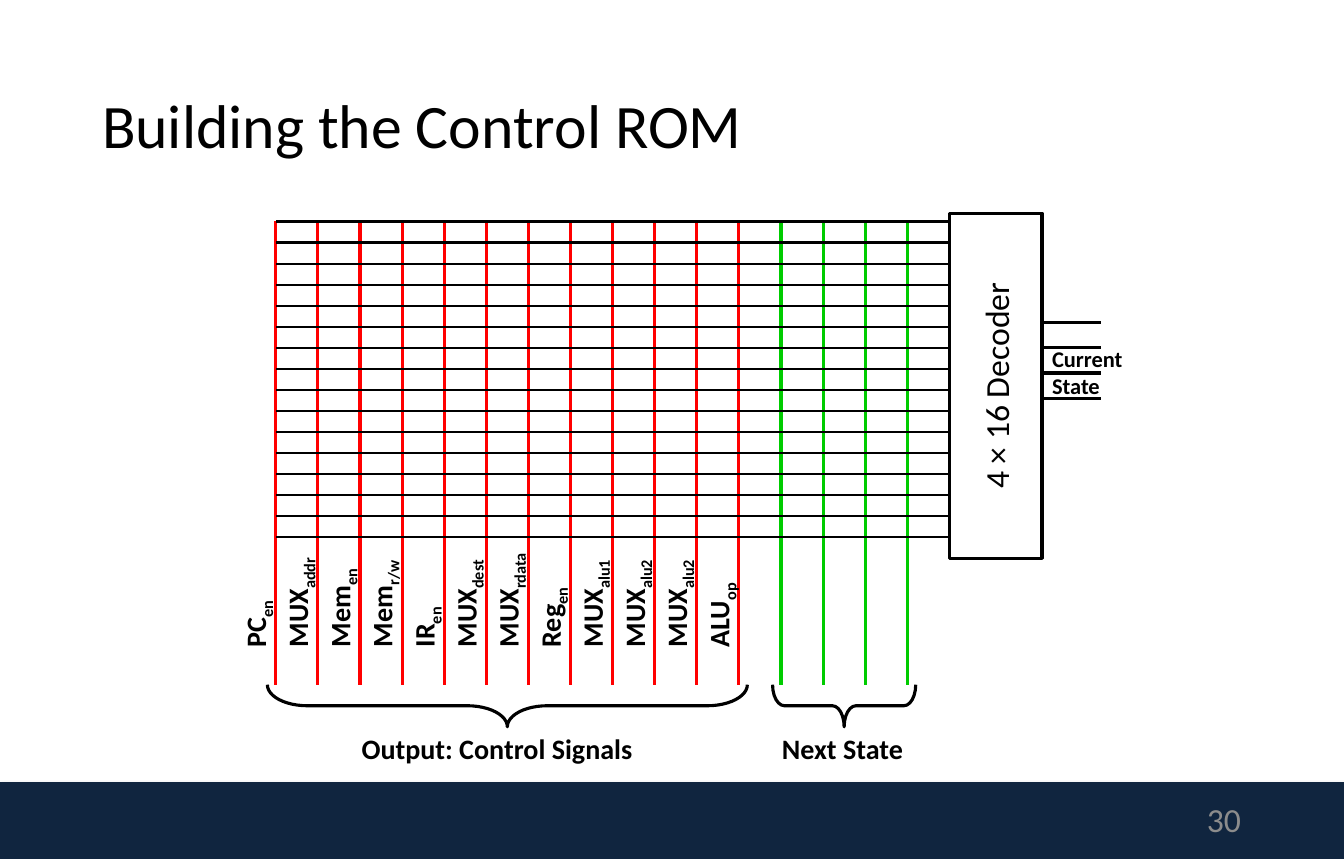
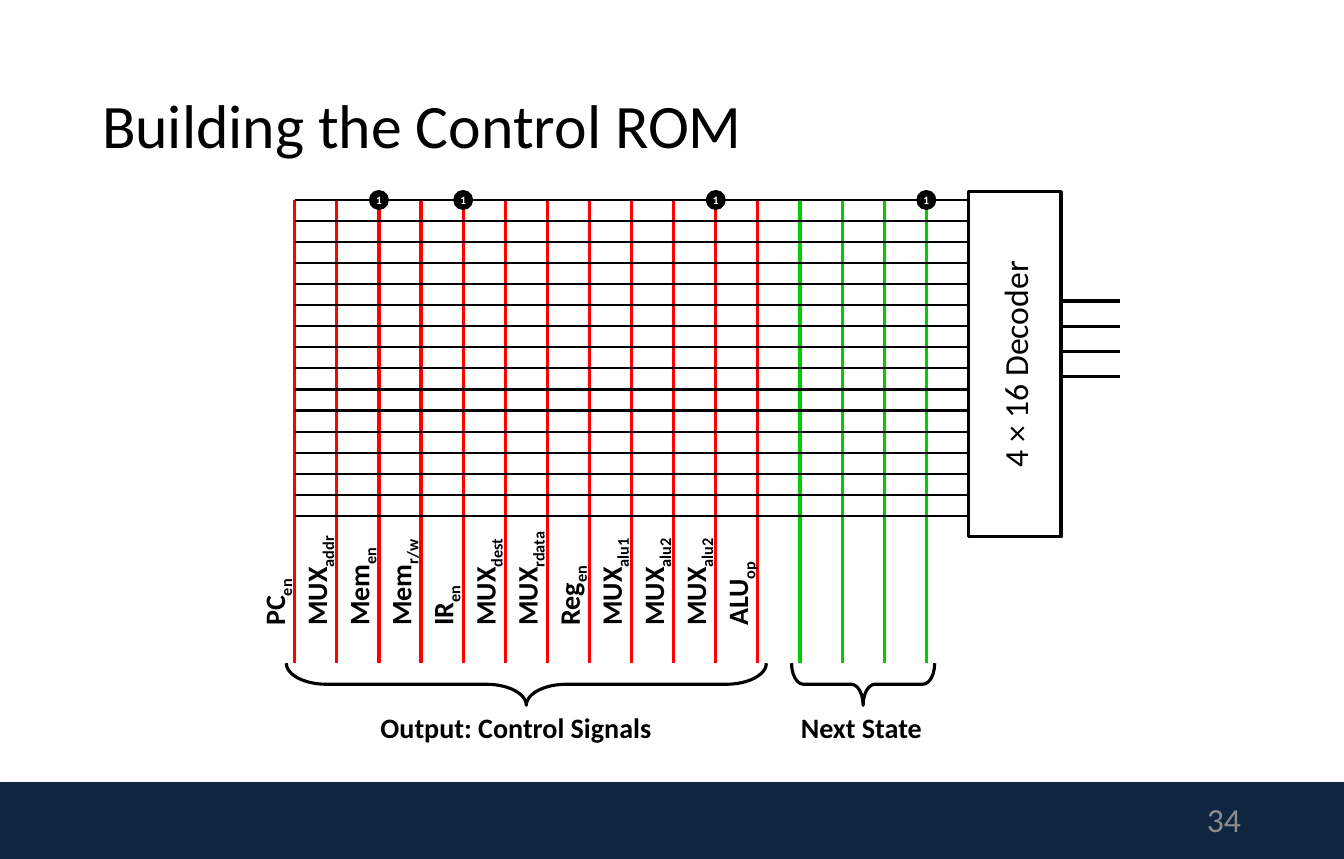
from lxml.etree import SubElement
from pptx import Presentation
from pptx.dml.color import RGBColor
from pptx.enum.shapes import MSO_CONNECTOR, MSO_SHAPE as SHAPE
from pptx.enum.text import MSO_ANCHOR as ANCHOR, MSO_AUTO_SIZE as FIT, PP_ALIGN as ALIGN
from pptx.oxml.ns import qn
from pptx.util import Pt

NAVY = RGBColor(0x10, 0x25, 0x3F)
BLACK = RGBColor(0x00, 0x00, 0x00)
WHITE = RGBColor(0xFF, 0xFF, 0xFF)
RED = RGBColor(0xFF, 0x00, 0x00)
GREEN = RGBColor(0x00, 0xCC, 0x00)
GRAY = RGBColor(0x8C, 0x8C, 0x8C)
FONT = "Calibri"

SLIDE_W, SLIDE_H = 957.6, 612
BAND_TOP = 557.3
COLUMN_GAP, ROW_GAP = 30, 15
ROWS = 16
STATE_BITS = 4
ROM_W, COLUMN_H = 480, 330
DECODER_W, DECODER_H = 66, 246
BRACE_DEPTH = 30
HEAVY, LIGHT = 2.25, 1.5

SIGNALS = [
    ("PC", "en", 50), ("MUX", "addr", 84), ("Mem", "en", 73),
    ("Mem", "r/w", 79), ("IR", "en", 45), ("MUX", "dest", 80),
    ("MUX", "rdata", 88), ("Reg", "en", 61), ("MUX", "alu1", 81),
    ("MUX", "alu2", 81), ("MUX", "alu2", 81), ("ALU", "op", 71),
]
COLUMNS = len(SIGNALS) + STATE_BITS


def write(shape, text, subscript="", size=20, bold=False, color=BLACK,
          align=ALIGN.LEFT, anchor=ANCHOR.TOP, spacing=None, wrap=False):
    frame = shape.text_frame
    frame.auto_size = FIT.NONE
    frame.word_wrap = wrap
    frame.vertical_anchor = anchor
    frame.text = text
    if subscript:
        frame.paragraphs[-1].add_run().text = subscript
    for paragraph in frame.paragraphs:
        paragraph.alignment = align
        paragraph.line_spacing = spacing
        for run in paragraph.runs:
            font = run.font
            font.name, font.size, font.bold = FONT, Pt(size), bold
            font.color.rgb = color
    if subscript:
        shape.element.xpath(".//a:rPr")[-1].set("baseline", "-25000")


def place(shape, left, top, width, height):
    shape.left, shape.top = Pt(left), Pt(top)
    shape.width, shape.height = Pt(width), Pt(height)


def add_text(slide, text, left, top, width, height, **style):
    box = slide.shapes.add_textbox(Pt(left), Pt(top), Pt(width), Pt(height))
    write(box, text, **style)
    return box


def add_upright(slide, kind, center_x, center_y, length, depth):
    shape = add_shape(slide, kind, center_x - length / 2, center_y - depth / 2,
                      length, depth)
    shape.rotation = 270
    return shape


def add_shape(slide, kind, left, top, width, height, fill=None, line=BLACK):
    shape = slide.shapes.add_shape(kind, Pt(left), Pt(top), Pt(width), Pt(height))
    shape.shadow.inherit = False
    if fill is None:
        shape.fill.background()
    else:
        shape.fill.solid()
        shape.fill.fore_color.rgb = fill
    if line is None:
        shape.line.fill.background()
    else:
        shape.line.color.rgb = line
        shape.line.width = Pt(HEAVY)
    return shape


def add_wire(slide, x1, y1, x2, y2, color=BLACK, weight=HEAVY):
    wire = slide.shapes.add_connector(MSO_CONNECTOR.STRAIGHT,
                                      Pt(x1), Pt(y1), Pt(x2), Pt(y2))
    wire.line.color.rgb = color
    wire.line.width = Pt(weight)
    SubElement(wire.element.spPr, qn("a:effectLst"))


def add_brace(slide, x, y, first, last, curve):
    center = x + (first + last) / 2 * COLUMN_GAP
    span = (last - first) * COLUMN_GAP + 12
    brace = add_upright(slide, SHAPE.LEFT_BRACE, center, y + COLUMN_H + BRACE_DEPTH / 2,
                        BRACE_DEPTH, span)
    brace.adjustments[0] = curve
    brace.adjustments[1] = 0.5


def add_band(slide, layout):
    band = add_shape(slide, SHAPE.RECTANGLE, 0, BAND_TOP, SLIDE_W,
                     SLIDE_H - BAND_TOP, fill=NAVY, line=None)
    effects = band.element.spPr.find(qn("a:effectLst"))
    shadow = SubElement(effects, qn("a:outerShdw"), blurRad=str(Pt(3.1)),
                        dist=str(Pt(1.8)), dir="5400000", rotWithShape="0")
    tint = SubElement(shadow, qn("a:srgbClr"), val="808080")
    SubElement(tint, qn("a:alpha"), val="35000")
    layout.shapes.element.insert(2, band.element)


def start_slide(deck, layout, number):
    slide = deck.slides.add_slide(layout)
    title = slide.shapes.title
    place(title, 65.5, 32.4, 825.8, 118)
    write(title, "Building the Control ROM", size=44, anchor=ANCHOR.MIDDLE,
          spacing=0.9, wrap=True)
    add_text(slide, str(number), 676, 567.4, 215.3, 32.4, size=24, color=GRAY,
             align=ALIGN.RIGHT, anchor=ANCHOR.MIDDLE, wrap=True)
    return slide


def add_decoder(slide, x, y):
    left = x + ROM_W
    decoder = add_upright(slide, SHAPE.RECTANGLE, left + DECODER_W / 2, y + 117,
                          DECODER_H, DECODER_W)
    write(decoder, "4 × 16 Decoder", size=24, align=ALIGN.CENTER,
          anchor=ANCHOR.MIDDLE, wrap=True)
    right = left + DECODER_W
    for bit in range(STATE_BITS):
        bit_y = y + 72 + bit * 18
        add_wire(slide, right, bit_y, right + 42, bit_y)


def add_signal_name(slide, line_x, y, name, subscript, width):
    height = 31.5
    label = add_text(slide, name, line_x - 14.7 - width / 2,
                     y + 310.5 - width / 2 - height / 2, width, height,
                     subscript=subscript, bold=True)
    label.rotation = 270


def add_rom(slide, x, y):
    add_decoder(slide, x, y)
    for column in range(COLUMNS):
        line_x = x + column * COLUMN_GAP
        color = RED if column < len(SIGNALS) else GREEN
        add_wire(slide, line_x, y, line_x, y + COLUMN_H, color)
    for row in range(ROWS):
        line_y = y + row * ROW_GAP
        add_wire(slide, x + ROM_W, line_y, x, line_y, weight=LIGHT)
    for column, signal in enumerate(SIGNALS):
        add_signal_name(slide, x + column * COLUMN_GAP, y, *signal)
    add_brace(slide, x, y, 0, len(SIGNALS) - 1, 0.95)
    add_brace(slide, x, y, len(SIGNALS), COLUMNS - 1, 0.28)
    for caption, left, width in [("Output: Control Signals", 54, 209),
                                 ("Next State", 353.5, 103)]:
        add_text(slide, caption, x + left, y + 360, width, 31.5, bold=True)


def add_ones(slide, x, y, row, columns):
    size = 12
    for column in columns:
        dot = add_shape(slide, SHAPE.OVAL, x + column * COLUMN_GAP - size / 2,
                        y + row * ROW_GAP - size / 2, size, size, fill=BLACK)
        write(dot, "1", size=8, bold=True, color=WHITE, align=ALIGN.CENTER,
              anchor=ANCHOR.MIDDLE)


def main():
    deck = Presentation()
    deck.slide_width, deck.slide_height = Pt(SLIDE_W), Pt(SLIDE_H)
    layout = deck.slide_layouts.get_by_name("Title Only")

    empty_rom = start_slide(deck, layout, 30)
    add_band(empty_rom, layout)
    x, y = 196.5, 157.8
    add_rom(empty_rom, x, y)
    add_text(empty_rom, "Current\nState", x + ROM_W + DECODER_W, y + 84.2,
             65.5, 46, size=16, bold=True)

    first_row_rom = start_slide(deck, layout, 34)
    x, y = 210, 142.5
    add_rom(first_row_rom, x, y)
    add_ones(first_row_rom, x, y, row=0, columns=[2, 4, 10, 15])

    deck.save("out.pptx")


if __name__ == "__main__":
    main()
